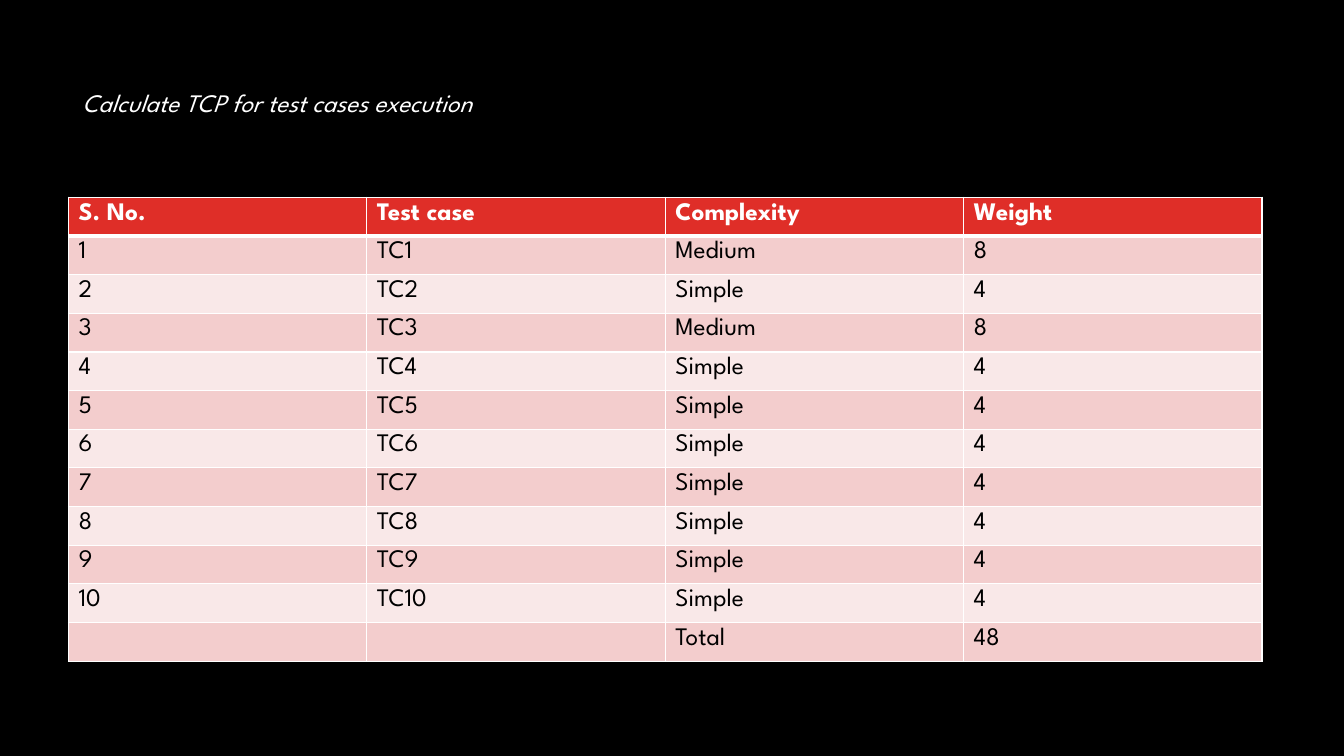
from dataclasses import dataclass

from lxml import etree
from pptx import Presentation
from pptx.dml.color import RGBColor
from pptx.oxml.ns import qn
from pptx.util import Inches, Pt

SLIDE_W, SLIDE_H = Inches(13.33), Inches(7.5)


@dataclass(frozen=True)
class Theme:
    font: str = "League Spartan"
    size: int = 18
    background: str = "000000"
    light: str = "FFFFFF"
    dark: str = "000000"
    header: str = "DF2E28"
    bands: tuple[str, str] = ("F3CDCD", "F9E8E8")
    rule: int = 1
    header_rule: int = 3


@dataclass(frozen=True)
class Area:
    """A rectangle in shares of the slide's width and height."""
    left: float
    top: float
    width: float
    height: float

    def emu(self) -> tuple[int, int, int, int]:
        return (int(self.left * SLIDE_W), int(self.top * SLIDE_H),
                int(self.width * SLIDE_W), int(self.height * SLIDE_H))


@dataclass(frozen=True)
class CaseRow:
    number: str
    case: str
    complexity: str
    weight: str

    def texts(self) -> tuple[str, str, str, str]:
        return self.number, self.case, self.complexity, self.weight


THEME = Theme()
TITLE_AREA = Area(0.054, 0.109, 0.368, 0.053)
TABLE_AREA = Area(0.051, 0.261, 0.888, 0.614)
WEIGHTS = {"Simple": 4, "Medium": 8}
COMPLEXITIES = ["Medium", "Simple", "Medium"] + ["Simple"] * 7
HEADER = CaseRow("S. No.", "Test case", "Complexity", "Weight")
CASES = [CaseRow(str(i), f"TC{i}", level, str(WEIGHTS[level]))
         for i, level in enumerate(COMPLEXITIES, start=1)]
TOTAL = CaseRow("", "", "Total", str(sum(WEIGHTS[c] for c in COMPLEXITIES)))


def set_text(p, text: str, color: str, bold: bool = False, italic: bool = False) -> None:
    p.text = text
    font = p.font
    font.name, font.size = THEME.font, Pt(THEME.size)
    font.bold, font.italic = bold, italic
    font.color.rgb = RGBColor.from_string(color)


def set_borders(cell, top: int, bottom: int) -> None:
    """Rule all four sides; top and bottom are widths in points."""
    tc_pr = cell._tc.get_or_add_tcPr()
    sides = {"L": THEME.rule, "R": THEME.rule, "T": top, "B": bottom}
    for i, (side, width) in enumerate(sides.items()):
        ln = etree.Element(qn(f"a:ln{side}"), w=str(Pt(width)))
        fill = etree.SubElement(ln, qn("a:solidFill"))
        etree.SubElement(fill, qn("a:srgbClr"), val=THEME.light)
        tc_pr.insert(i, ln)


def add_title(s, area: Area, text: str) -> None:
    tf = s.shapes.add_textbox(*area.emu()).text_frame
    tf.word_wrap = True
    set_text(tf.paragraphs[0], text, THEME.light, italic=True)


def add_case_table(s, area: Area, rows: list[CaseRow]) -> None:
    columns = len(HEADER.texts())
    table = s.shapes.add_table(len(rows), columns, *area.emu()).table
    table.horz_banding = False
    for r, row in enumerate(rows):
        is_header = r == 0
        fill = THEME.header if is_header else THEME.bands[(r - 1) % 2]
        color = THEME.light if is_header else THEME.dark
        top = THEME.header_rule if r == 1 else THEME.rule
        bottom = THEME.header_rule if is_header else THEME.rule
        for c, text in enumerate(row.texts()):
            cell = table.cell(r, c)
            cell.fill.solid()
            cell.fill.fore_color.rgb = RGBColor.from_string(fill)
            set_borders(cell, top, bottom)
            set_text(cell.text_frame.paragraphs[0], text, color, bold=is_header)


def main() -> None:
    prs = Presentation()
    prs.slide_width, prs.slide_height = SLIDE_W, SLIDE_H
    s = prs.slides.add_slide(prs.slide_layouts[6])
    s.background.fill.solid()
    s.background.fill.fore_color.rgb = RGBColor.from_string(THEME.background)
    add_case_table(s, TABLE_AREA, [HEADER, *CASES, TOTAL])
    add_title(s, TITLE_AREA, "Calculate TCP for test cases execution")
    prs.save("out.pptx")


if __name__ == "__main__":
    main()
